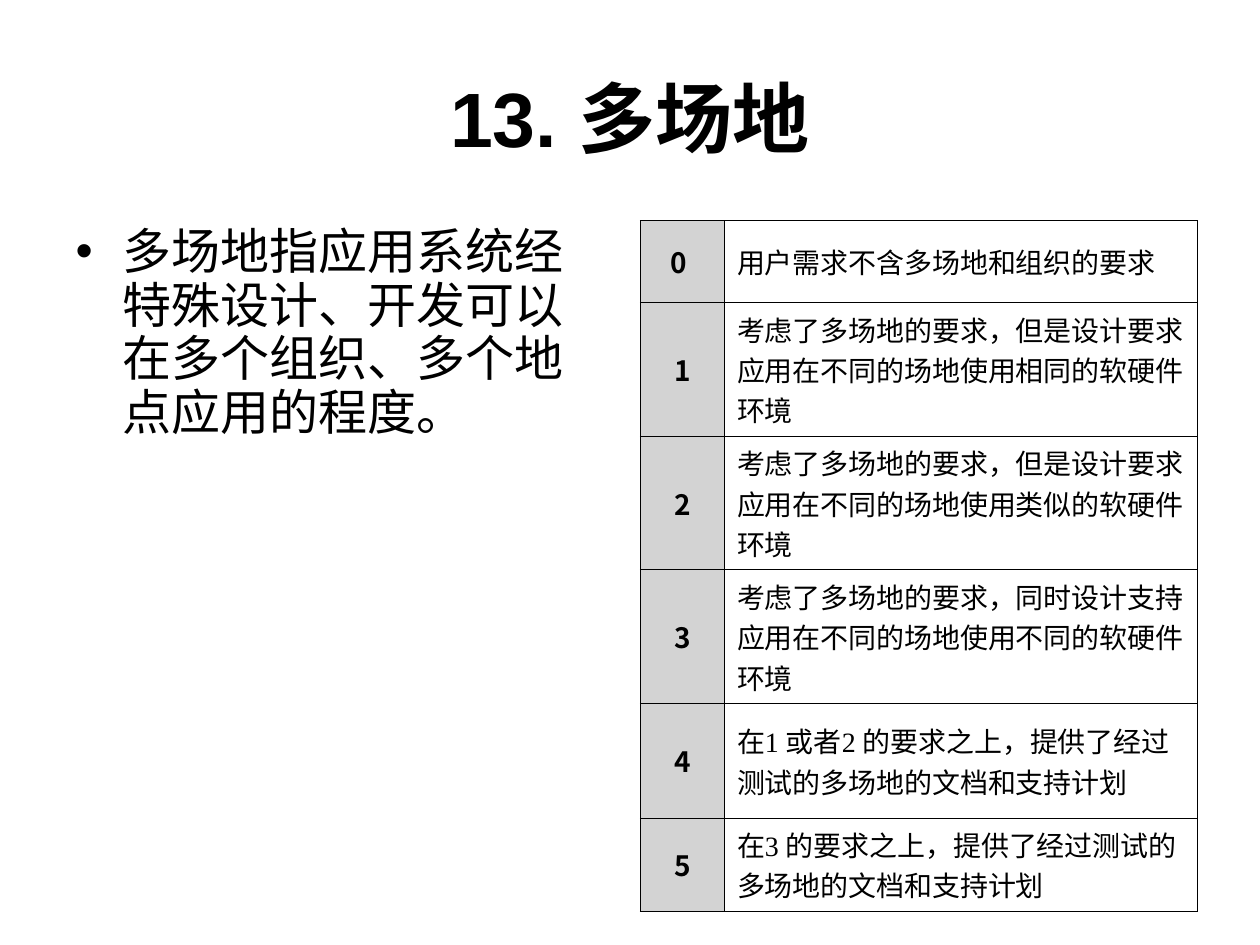
from lxml import etree
from pptx import Presentation
from pptx.dml.color import RGBColor
from pptx.enum import text
from pptx.oxml import ns
from pptx.util import Inches, Pt

COLORS = {"ink": "000000", "label": "D3D3D3"}
COLUMN_WIDTHS = [0.67, 3.75]
ROW_HEIGHTS = [0.65, 0.91, 0.91, 0.91, 0.91, 0.65]
LEVELS = [
    ("0 ", "用户需求不含多场地和组织的要求"),
    ("1", "考虑了多场地的要求，但是设计要求应用在不同的场地使用相同的软硬件环境"),
    ("2", "考虑了多场地的要求，但是设计要求应用在不同的场地使用类似的软硬件环境"),
    ("3", "考虑了多场地的要求，同时设计支持应用在不同的场地使用不同的软硬件环境"),
    ("4", "在1 或者2 的要求之上，提供了经过测试的多场地的文档和支持计划"),
    ("5", "在3 的要求之上，提供了经过测试的多场地的文档和支持计划"),
]


def color(name):
    return RGBColor.from_string(COLORS[name])


def write(frame, words, size, face, bold=False, align=text.PP_ALIGN.LEFT):
    frame.text = words
    para = frame.paragraphs[0]
    para.alignment = align
    para.font.size = Pt(size)
    para.font.name = face
    para.font.bold = bold
    para.font.color.rgb = color("ink")
    return para


def place(shape, box):
    shape.left, shape.top, shape.width, shape.height = map(Inches, box)
    shape.text_frame.auto_size = text.MSO_AUTO_SIZE.NONE


def add_title(page, box):
    place(page.shapes.title, box)
    frame = page.shapes.title.text_frame
    frame.vertical_anchor = text.MSO_ANCHOR.MIDDLE
    write(frame, "13. 多场地", 44, "Arial", True, text.PP_ALIGN.CENTER)


def add_definition(page, box):
    body = page.placeholders[1]
    place(body, box)
    para = write(body.text_frame,
                 "多场地指应用系统经特殊设计、开发可以在多个组织、多个地点应用的程度。",
                 28, "Arial")
    para.line_spacing = 0.91
    para.space_before = Pt(0)


def outline_cell(cell):
    """Draw a thin line on all four sides of the cell, ahead of its fill."""
    props = cell._tc.get_or_add_tcPr()
    for index, side in enumerate(("lnL", "lnR", "lnT", "lnB")):
        line = etree.Element(ns.qn(f"a:{side}"), w=str(Pt(0.34)))
        fill = etree.SubElement(line, ns.qn("a:solidFill"))
        etree.SubElement(fill, ns.qn("a:srgbClr"), val=COLORS["ink"])
        props.insert(index, line)


def add_levels(page, box):
    table = page.shapes.add_table(len(LEVELS), 2, *map(Inches, box)).table
    table.first_row = table.horz_banding = False
    for column, width in zip(table.columns, COLUMN_WIDTHS):
        column.width = Inches(width)
    for row, height, (level, meaning) in zip(table.rows, ROW_HEIGHTS, LEVELS):
        row.height = Inches(height)
        label, detail = row.cells
        label.fill.solid()
        label.fill.fore_color.rgb = color("label")
        detail.fill.background()
        write(label.text_frame, level, 16, "Noto Sans CJK SC", True,
              text.PP_ALIGN.CENTER)
        write(detail.text_frame, meaning, 16, "Times New Roman")
        for cell in (label, detail):
            cell.vertical_anchor = text.MSO_ANCHOR.MIDDLE
            outline_cell(cell)


def main():
    deck = Presentation()
    deck.slide_width, deck.slide_height = Inches(10), Inches(7.5)
    page = deck.slides.add_slide(deck.slide_layouts.get_by_name("Title and Content"))
    add_title(page, (0.5, 0.3, 9, 1.25))
    add_definition(page, (0.5, 1.75, 4.42, 4.95))
    add_levels(page, (5.08, 1.75, 4.42, 4.95))
    deck.save("out.pptx")


if __name__ == "__main__":
    main()
